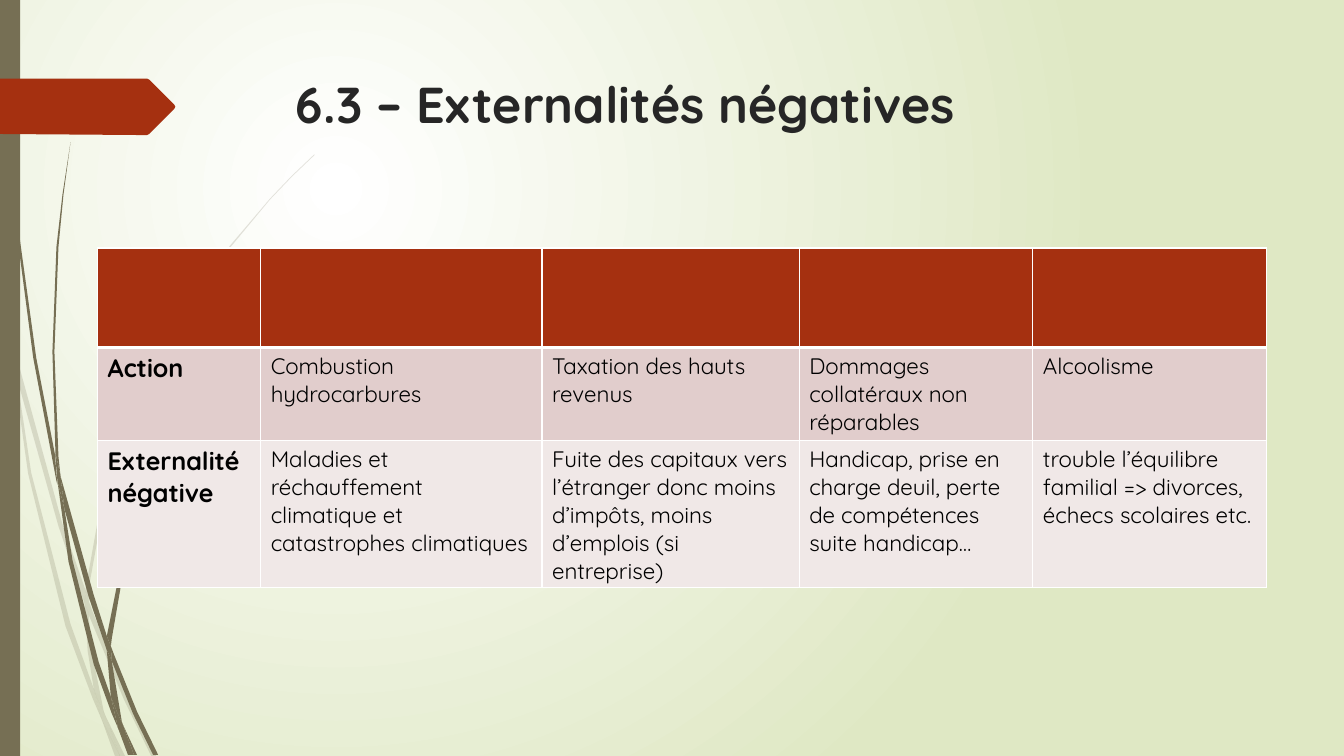
from pptx import Presentation
from pptx import util as u
from pptx.dml.color import RGBColor
from pptx.enum import shapes, text
from pptx.oxml import parse_xml
from pptx.oxml.ns import nsdecls, qn

WHITE = RGBColor(0xFF, 0xFF, 0xFF)
BLACK = RGBColor(0x00, 0x00, 0x00)
CHARCOAL = RGBColor(0x26, 0x26, 0x26)
PALE_GREEN = RGBColor(0xDF, 0xE8, 0xC4)
OLIVE = RGBColor(0x76, 0x6F, 0x54)
RUST = RGBColor(0xA5, 0x30, 0x10)
ROSE = RGBColor(0xE1, 0xCD, 0xCC)
PALE_ROSE = RGBColor(0xF0, 0xE8, 0xE7)

FONT = "Quicksand"
OUTLINE_UNIT = u.Cm(0.0254)

# Outline points, in OUTLINE_UNIT
FAINT_GRASS = [
    [(11, 350), (9, 322), (0, 282), (0, 299), (10, 344)],
    [(58, 522), (84, 599), (85, 586), (62, 520), (14, 345), (17, 376)],
    [(92, 607), (88, 596), (88, 610), (123, 694), (150, 750), (155, 750),
     (127, 692)],
    [(119, 750), (124, 750), (105, 711)],
    [(93, 683), (70, 619), (31, 469), (17, 376), (11, 350), (28, 470),
     (65, 621), (92, 693), (101, 714), (99, 707)],
    [(84, 599), (87, 646), (93, 683), (96, 692), (105, 711), (103, 706),
     (91, 646), (88, 610), (88, 608)],
    [(88, 584), (110, 462), (160, 349), (229, 245), (268, 198), (290, 175),
     (312, 154), (312, 153), (289, 175), (268, 197), (228, 244), (158, 348),
     (107, 461), (85, 584), (85, 586), (88, 596)],
    [(101, 714), (114, 750), (119, 750)],
    [(88, 608), (88, 610), (88, 596), (85, 586), (84, 599)],
    [(96, 692), (93, 683), (99, 707), (101, 714), (119, 750), (105, 711)],
]
DARK_GRASS = [
    [(7, 110), (17, 233), (33, 355), (56, 477), (57, 481), (55, 457),
     (55, 453), (36, 355), (19, 232), (8, 109), (5, 48), (4, 0), (3, 0),
     (4, 48)],
    [(88, 592), (106, 645), (106, 631), (93, 590), (60, 472), (64, 505)],
    [(113, 649), (110, 641), (111, 656), (132, 708), (152, 749), (157, 749),
     (136, 706)],
    [(110, 691), (98, 657), (72, 556), (64, 505), (57, 477), (68, 557),
     (93, 659), (111, 708), (117, 722), (116, 717)],
    [(60, 472), (58, 453), (54, 349), (58, 245), (63, 193), (70, 141),
     (62, 193), (56, 245), (52, 349), (55, 449)],
    [(133, 749), (136, 749), (122, 719)],
    [(57, 477), (64, 505), (60, 472), (55, 449), (55, 453)],
    [(111, 633), (125, 552), (158, 476), (205, 406), (231, 374), (245, 359),
     (261, 344), (260, 344), (245, 358), (231, 373), (204, 405), (156, 474),
     (122, 551), (106, 631), (110, 641)],
    [(117, 722), (127, 749), (131, 749)],
    [(106, 645), (110, 691), (116, 706), (122, 719), (121, 716), (111, 656),
     (109, 651)],
    [(106, 645), (109, 651), (111, 656), (110, 641), (106, 631)],
    [(116, 706), (110, 691), (116, 717), (117, 722), (130, 749), (133, 749),
     (122, 719)],
]
TITLE_ARROW = [(173, 108), (148, 133), (146, 134), (136, 134), (0, 133),
               (0, 78), (146, 78), (148, 79), (173, 104), (174, 106)]

COLUMN_WIDTHS = [4.11, 7.09, 6.48, 5.89, 5.89]
TABLE_ROWS = [
    (2.51, RUST, [""] * 5),
    (2.34, ROSE, ["Action", "Combustion hydrocarbures",
                  "Taxation des hauts revenus",
                  "Dommages collatéraux non réparables", "Alcoolisme"]),
    (3.7, PALE_ROSE, [
        "Externalité négative",
        "Maladies et réchauffement climatique et catastrophes climatiques",
        "Fuite des capitaux vers l’étranger donc moins d’impôts, "
        "moins d’emplois (si entreprise)",
        "Handicap, prise en charge deuil, perte de compétences "
        "suite handicap…",
        "trouble l’équilibre familial => divorces, échecs scolaires etc."]),
]


def paint_background(slide):
    """Radial gradient centred in the upper left quarter."""
    fill = slide.background.fill
    fill.gradient()
    for stop, color in zip(fill.gradient_stops, (WHITE, PALE_GREEN)):
        stop.color.rgb = color
    gradient = slide.background.fill._fill._gradFill
    linear = gradient.find(qn("a:lin"))
    gradient.replace(linear, parse_xml(
        f'<a:path {nsdecls("a")} path="circle">'
        '<a:fillToRect l="50000" t="50000" r="100000" b="100000"/></a:path>'))


def style_shape(shape, color, opacity=100):
    shape.shadow.inherit = False
    shape.fill.solid()
    shape.fill.fore_color.rgb = color
    shape.line.fill.background()
    if opacity < 100:
        tint = shape.fill._xPr.find(".//" + qn("a:srgbClr"))
        tint.append(parse_xml(
            f'<a:alpha {nsdecls("a")} val="{opacity * 1000}"/>'))


def add_outline(slide, points, color, opacity=100):
    builder = slide.shapes.build_freeform(*points[0], scale=OUTLINE_UNIT)
    builder.add_line_segments(points[1:], close=True)
    style_shape(builder.convert_to_shape(), color, opacity)


def write_text(frame, words, size=16, color=BLACK, bold=False):
    frame.word_wrap = True
    span = frame.paragraphs[0].add_run()
    span.text = words
    span.font.name = FONT
    span.font.size = u.Pt(size)
    span.font.bold = bold
    span.font.color.rgb = color


def add_title(slide, words):
    box = slide.shapes.add_textbox(u.Cm(7.21), u.Cm(1.73),
                                   u.Cm(24.77), u.Cm(3.56))
    box.text_frame.vertical_anchor = text.MSO_ANCHOR.TOP
    write_text(box.text_frame, words, size=36, color=CHARCOAL, bold=True)


def set_borders(cell, bottom=1, top=1):
    widths = {"lnL": 1, "lnR": 1, "lnT": top, "lnB": bottom}
    properties = cell._tc.get_or_add_tcPr()
    for index, (side, width) in enumerate(widths.items()):
        properties.insert(index, parse_xml(
            f'<a:{side} {nsdecls("a")} w="{u.Pt(width)}"><a:solidFill>'
            f'<a:srgbClr val="{WHITE}"/></a:solidFill></a:{side}>'))


def add_effects_table(slide):
    height = sum(row[0] for row in TABLE_ROWS)
    table = slide.shapes.add_table(
        len(TABLE_ROWS), len(COLUMN_WIDTHS), u.Cm(2.46), u.Cm(6.25),
        u.Cm(sum(COLUMN_WIDTHS)), u.Cm(height)).table
    for column, width in zip(table.columns, COLUMN_WIDTHS):
        column.width = u.Cm(width)
    for r, (row_height, color, entries) in enumerate(TABLE_ROWS):
        table.rows[r].height = u.Cm(row_height)
        for c, words in enumerate(entries):
            cell = table.cell(r, c)
            cell.fill.solid()
            cell.fill.fore_color.rgb = color
            set_borders(cell, bottom=3 if r == 0 else 1,
                        top=3 if r == 1 else 1)
            if words:
                write_text(cell.text_frame, words,
                           size=18 if c == 0 else 16, bold=c == 0)


def main():
    deck = Presentation()
    deck.slide_width, deck.slide_height = u.Cm(33.87), u.Cm(19.05)
    slide = deck.slides.add_slide(deck.slide_layouts[6])
    paint_background(slide)
    for points in FAINT_GRASS:
        add_outline(slide, points, OLIVE, opacity=20)
    for points in DARK_GRASS:
        add_outline(slide, points, OLIVE)
    side_bar = slide.shapes.add_shape(shapes.MSO_SHAPE.RECTANGLE, 0, 0,
                                      u.Cm(0.51), deck.slide_height)
    style_shape(side_bar, OLIVE)
    add_outline(slide, TITLE_ARROW, RUST)
    add_title(slide, "6.3 – Externalités négatives")
    add_effects_table(slide)
    deck.save("out.pptx")


if __name__ == "__main__":
    main()
